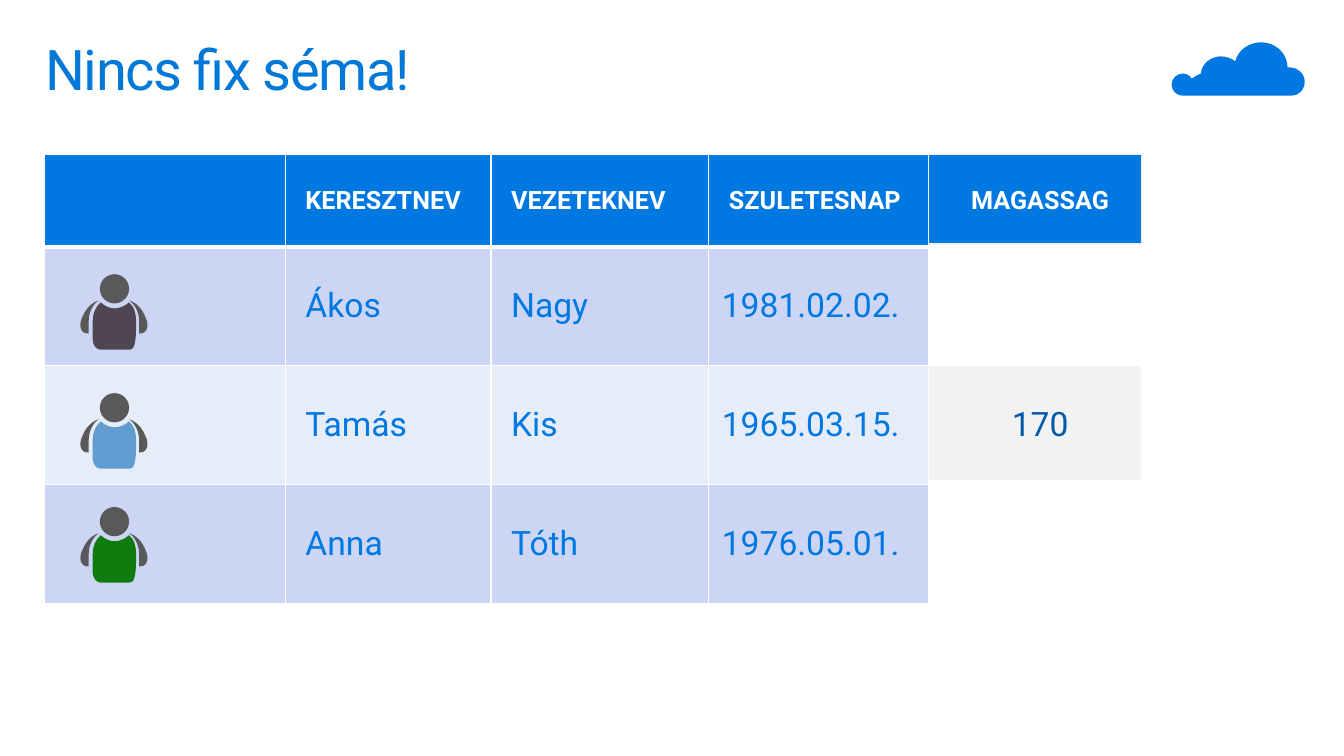
import pptx
import pptx.dml.color
import pptx.enum.shapes
import pptx.enum.text
import pptx.oxml
import pptx.oxml.ns
import pptx.util

Inches = pptx.util.Inches
Pt = pptx.util.Pt
qn = pptx.oxml.ns.qn
MIDDLE = pptx.enum.text.MSO_ANCHOR.MIDDLE
CENTER = pptx.enum.text.PP_ALIGN.CENTER
SHAPES = pptx.enum.shapes.MSO_SHAPE

BLUE, WHITE, GRAY = "0078E1", "FFFFFF", "595959"
LIGHT, BAND_DARK, BAND_LIGHT = "F2F2F2", "CCD6F4", "E7ECF9"

CLOUD = [
    [(12.8, .67)],
    [(12.79, .67), (12.78, .67), (12.77, .67)],
    [(12.77, .53), (12.65, .42), (12.51, .42)],
    [(12.38, .42), (12.28, .5), (12.25, .61)],
    [(12.22, .58), (12.16, .56), (12.11, .56)],
    [(12.01, .56), (11.92, .63), (11.91, .73)],
    [(11.88, .74), (11.85, .76), (11.82, .78)],
    [(11.8, .75), (11.77, .73), (11.73, .73)],
    [(11.67, .73), (11.62, .78), (11.62, .84)],
    [(11.62, .9), (11.67, .95), (11.73, .95)],
    [(12.81, .95)],
    [(12.88, .95), (12.94, .89), (12.94, .81)],
    [(12.94, .73), (12.87, .67), (12.8, .67)],
]
LEFT_ARM = [
    [(.22, .26)],
    [(.19, .27), (.11, .3), (.06, .42)],
    [(0, .54), (.07, .6), (.12, .59)],
    [(.12, .47)],
    [(.12, .38), (.16, .3), (.22, .26)],
]
PERSON_WIDTH = .74
RIGHT_ARM = [[(PERSON_WIDTH - x, y) for x, y in step] for step in LEFT_ARM]
TORSO = [
    [(.59, .46)],
    [(.59, .39), (.57, .32), (.52, .28)],
    [(.49, .31), (.43, .34), (.38, .34)],
    [(.32, .34), (.27, .31), (.24, .28)],
    [(.19, .32), (.16, .39), (.16, .46)],
    [(.16, .65)],
    [(.16, .71), (.2, .75), (.24, .75)],
    [(.52, .75)],
    [(.56, .75), (.59, .73), (.59, .51)],
]

PEOPLE_ROWS = [
    ("", "KERESZTNEV", "VEZETEKNEV", "SZULETESNAP"),
    ("", "Ákos", "Nagy", "1981.02.02."),
    ("", "Tamás", "Kis", "1965.03.15."),
    ("", "Anna", "Tóth", "1976.05.01."),
]


def rgb(hex_color):
    return pptx.dml.color.RGBColor.from_string(hex_color)


def write(holder, text, size=18, color=BLUE, bold=False, align=None,
          line_spacing=None, tracking=None, margins=(.2, .1, .2, .1)):
    holder.margin_left, holder.margin_top, holder.margin_right, holder.margin_bottom = map(Inches, margins)
    holder.vertical_anchor = MIDDLE
    frame = getattr(holder, "text_frame", holder)
    paragraph = frame.paragraphs[0]
    paragraph.alignment = align
    paragraph.line_spacing = line_spacing
    run = paragraph.add_run()
    run.text = text
    run.font.name = "Roboto"
    run.font.size = Pt(size)
    run.font.bold = bold
    run.font.color.rgb = rgb(color)
    if tracking is not None:
        run.font._element.set("spc", str(int(tracking * 100)))


def bend(freeform, steps):
    segments = iter(freeform._element.findall(".//" + qn("a:lnTo")))
    for step in steps[1:]:
        lines = [next(segments) for _ in step]
        if len(step) == 3:
            curve = pptx.oxml.parse_xml(f'<a:cubicBezTo {pptx.oxml.ns.nsdecls("a")}/>')
            lines[0].addprevious(curve)
            for line in lines:
                curve.append(line[0])
                line.getparent().remove(line)


class SchemaSlide:
    def __init__(self, presentation):
        self.slide = presentation.slides.add_slide(presentation.slide_layouts[5])
        self.shapes = self.slide.shapes

    def paint(self, shape, fill, line=None):
        shape.shadow.inherit = False
        shape.fill.solid()
        shape.fill.fore_color.rgb = rgb(fill)
        if line:
            shape.line.color.rgb = rgb(line)
            shape.line.width = Pt(1)
        else:
            shape.line.fill.background()

    def title(self, text):
        heading = self.shapes.title
        heading.left, heading.top, heading.width, heading.height = map(Inches, (.29, .32, 12.75, .98))
        write(heading.text_frame, text, size=40, color="0078D7", align=pptx.enum.text.PP_ALIGN.LEFT,
              line_spacing=.9, tracking=-1, margins=(.16, .1, .16, .1))
        heading.text_frame.word_wrap = True
        heading.text_frame.vertical_anchor = pptx.enum.text.MSO_ANCHOR.TOP

    def outline(self, shapes, steps, fill, left=0, top=0):
        points = [(Inches(left + x), Inches(top + y)) for step in steps for x, y in step]
        builder = shapes.build_freeform(*points[0])
        builder.add_line_segments(points[1:], close=True)
        freeform = builder.convert_to_shape()
        bend(freeform, steps)
        self.paint(freeform, fill)

    def cloud(self):
        self.outline(self.shapes, CLOUD, BLUE)

    def person(self, top, shirt, left=.76):
        members = self.shapes.add_group_shape().shapes
        for part, fill in ((LEFT_ARM, GRAY), (RIGHT_ARM, GRAY), (TORSO, shirt)):
            self.outline(members, part, fill, left, top)
        head = members.add_shape(SHAPES.OVAL, Inches(left + .23), Inches(top), Inches(.29), Inches(.29))
        self.paint(head, GRAY)

    def box(self, text, top, height, fill, line, **style):
        box = self.shapes.add_shape(SHAPES.RECTANGLE, Inches(9.21), Inches(top), Inches(2.11), Inches(height))
        self.paint(box, fill, line)
        write(box.text_frame, text, align=CENTER, margins=(.2, .05, .1, .05), **style)

    def border(self, cell, side, points):
        namespace = pptx.oxml.ns.nsdecls("a")
        cell._tc.get_or_add_tcPr().append(pptx.oxml.parse_xml(
            f'<a:ln{side} {namespace} w="{Pt(points)}"><a:solidFill>'
            f'<a:srgbClr val="{WHITE}"/></a:solidFill></a:ln{side}>'))

    def table(self, rows, widths, heights):
        people = self.shapes.add_table(len(rows), len(widths), Inches(.44), Inches(1.53),
                                       Inches(sum(widths)), Inches(sum(heights))).table
        for column, width in zip(people.columns, widths):
            column.width = Inches(width)
        for r, (values, height) in enumerate(zip(rows, heights)):
            people.rows[r].height = Inches(height)
            header = r == 0
            fill = BLUE if header else (BAND_LIGHT, BAND_DARK)[r % 2]
            style = dict(color=WHITE, bold=True) if header else dict(size=24)
            for c, value in enumerate(values):
                cell = people.cell(r, c)
                for side in "LRTB":
                    self.border(cell, side, 3 if header and side == "B" else 1)
                cell.fill.solid()
                cell.fill.fore_color.rgb = rgb(fill)
                if value:
                    birthday = c == 3 and not header
                    across = .13 if birthday else .2
                    down = .05 if birthday or r == 3 else .1
                    write(cell, value, margins=(across, down, across, down), **style)


def main():
    presentation = pptx.Presentation()
    presentation.slide_width, presentation.slide_height = Inches(13.33), Inches(7.5)
    schema = SchemaSlide(presentation)
    schema.cloud()
    schema.title("Nincs fix séma!")
    schema.table(PEOPLE_ROWS, (2.39, 2.04, 2.16, 2.18), (.92, 1.18, 1.18, 1.18))
    schema.box("MAGASSAG", 1.53, .89, BLUE, LIGHT, color=WHITE, bold=True)
    schema.box("170", 3.62, 1.15, LIGHT, WHITE, size=24, color="005AA9")
    for top, shirt in ((2.72, "4F4651"), (3.9, "629DD1"), (5.03, "107C10")):
        schema.person(top, shirt)
    presentation.save("out.pptx")


if __name__ == "__main__":
    main()
